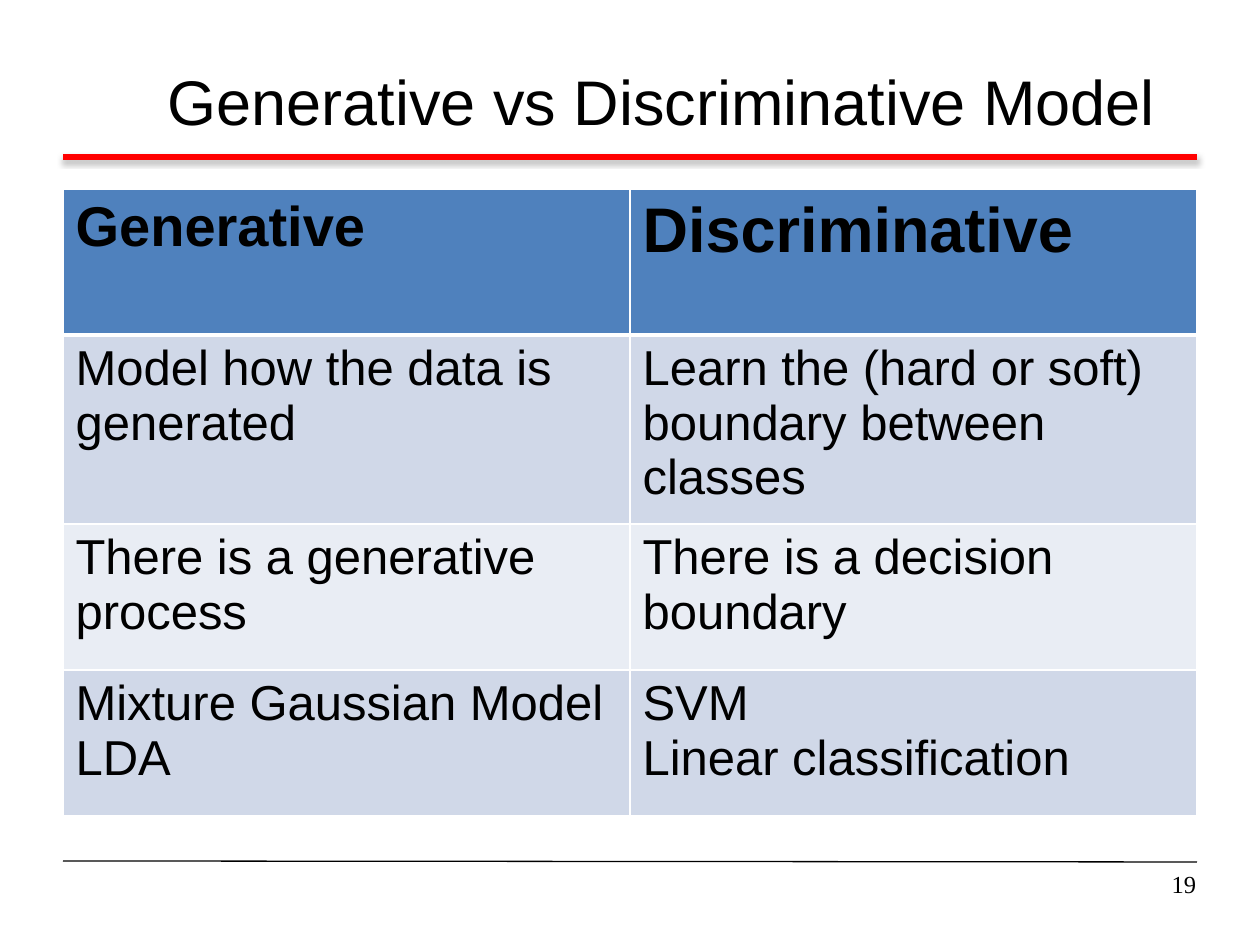
import dataclasses

import lxml.etree
import pptx
import pptx.dml.color
import pptx.enum.shapes
import pptx.enum.text
import pptx.oxml
import pptx.oxml.ns
import pptx.util

PX = 914400 / 126
NS = pptx.oxml.ns.nsdecls("a")
ALIGN = pptx.enum.text.PP_ALIGN
ANCHOR = pptx.enum.text.MSO_ANCHOR


@dataclasses.dataclass(frozen=True)
class Theme:
    ink: str = "000000"
    rule: str = "FF0000"
    border: str = "FFFFFF"
    header: str = "4F81BD"
    bands: tuple = ("D0D8E8", "E9EDF4")
    font: str = "Arial"
    number_font: str = "Times New Roman"
    title: int = 36
    headings: tuple = (32, 36)
    body: int = 28
    number: int = 14


def emu(px):
    return pptx.util.Emu(round(px * PX))


def rgb(value):
    return pptx.dml.color.RGBColor.from_string(value)


class Slide:
    """Draws styled elements on one slide."""

    def __init__(self, prs, theme):
        self.theme = theme
        self.s = prs.slides.add_slide(prs.slide_layouts[6])

    def style(self, tf, size, font, bold=False):
        for p in tf.paragraphs:
            for r in p.runs:
                r.font.size = pptx.util.Pt(size)
                r.font.name = font
                r.font.bold = bold
                r.font.color.rgb = rgb(self.theme.ink)

    def line(self, x1, y1, x2, y2, color, width, shadow=False):
        kind = pptx.enum.shapes.MSO_CONNECTOR.STRAIGHT
        sp = self.s.shapes.add_connector(kind, emu(x1), emu(y1), emu(x2), emu(y2))
        sp.line.color.rgb = rgb(color)
        sp.line.width = pptx.util.Pt(width)
        effect = (
            '<a:outerShdw blurRad="40000" dist="23000" dir="5400000" rotWithShape="0">'
            f'<a:srgbClr val="{self.theme.ink}"><a:alpha val="35000"/></a:srgbClr></a:outerShdw>'
        ) if shadow else ""
        xml = f"<a:effectLst {NS}>{effect}</a:effectLst>"
        sp._element.spPr.append(pptx.oxml.parse_xml(xml))

    def text(self, x, y, w, h, text, size, font, align, anchor=ANCHOR.TOP, inset=True, spacing=None):
        sp = self.s.shapes.add_textbox(emu(x), emu(y), emu(w), emu(h))
        tf = sp.text_frame
        tf.word_wrap = True
        tf.vertical_anchor = anchor
        if not inset:
            tf.margin_left = tf.margin_top = tf.margin_right = tf.margin_bottom = 0
        tf.text = text
        p = tf.paragraphs[0]
        p.alignment = align
        p.line_spacing = spacing
        self.style(tf, size, font)

    def borders(self, cell, top, bottom):
        tcPr = cell._tc.get_or_add_tcPr()
        for side, width in (("L", 1), ("R", 1), ("T", top), ("B", bottom)):
            tcPr.append(pptx.oxml.parse_xml(
                f'<a:ln{side} {NS} w="{pptx.util.Pt(width)}"><a:solidFill>'
                f'<a:srgbClr val="{self.theme.border}"/></a:solidFill></a:ln{side}>'
            ))

    def table(self, x, y, w, h, rows):
        t = self.theme
        sp = self.s.shapes.add_table(len(rows), len(rows[0]), emu(x), emu(y), emu(w), emu(h))
        for i, row in enumerate(rows):
            for j, text in enumerate(row):
                cell = sp.table.cell(i, j)
                cell.text_frame.text = text
                self.style(cell.text_frame, t.body if i else t.headings[j], t.font, i == 0)
                self.borders(cell, 3 if i == 1 else 1, 1 if i else 3)
                cell.fill.solid()
                cell.fill.fore_color.rgb = rgb(t.bands[(i - 1) % 2] if i else t.header)


def main():
    theme = Theme()
    prs = pptx.Presentation()
    prs.slide_width, prs.slide_height = emu(1260), emu(945)
    slide = Slide(prs, theme)
    slide.line(63, 157, 1197, 157, theme.rule, 3, shadow=True)
    slide.line(63, 861, 1197, 862, theme.ink, 0.75)
    slide.text(63, 21, 1197, 158, "Generative vs Discriminative Model",
               theme.title, theme.font, ALIGN.CENTER, ANCHOR.MIDDLE)
    slide.text(903, 872, 293, 64, "19", theme.number, theme.number_font,
               ALIGN.RIGHT, inset=False, spacing=0.93)
    slide.table(63, 189, 1134, 584, [
        ("Generative", "Discriminative"),
        ("Model how the data is generated", "Learn the (hard or soft) boundary between classes"),
        ("There is a generative process", "There is a decision boundary"),
        ("Mixture Gaussian Model\nLDA", "SVM\nLinear classification"),
    ])
    prs.save("out.pptx")


if __name__ == "__main__":
    main()
